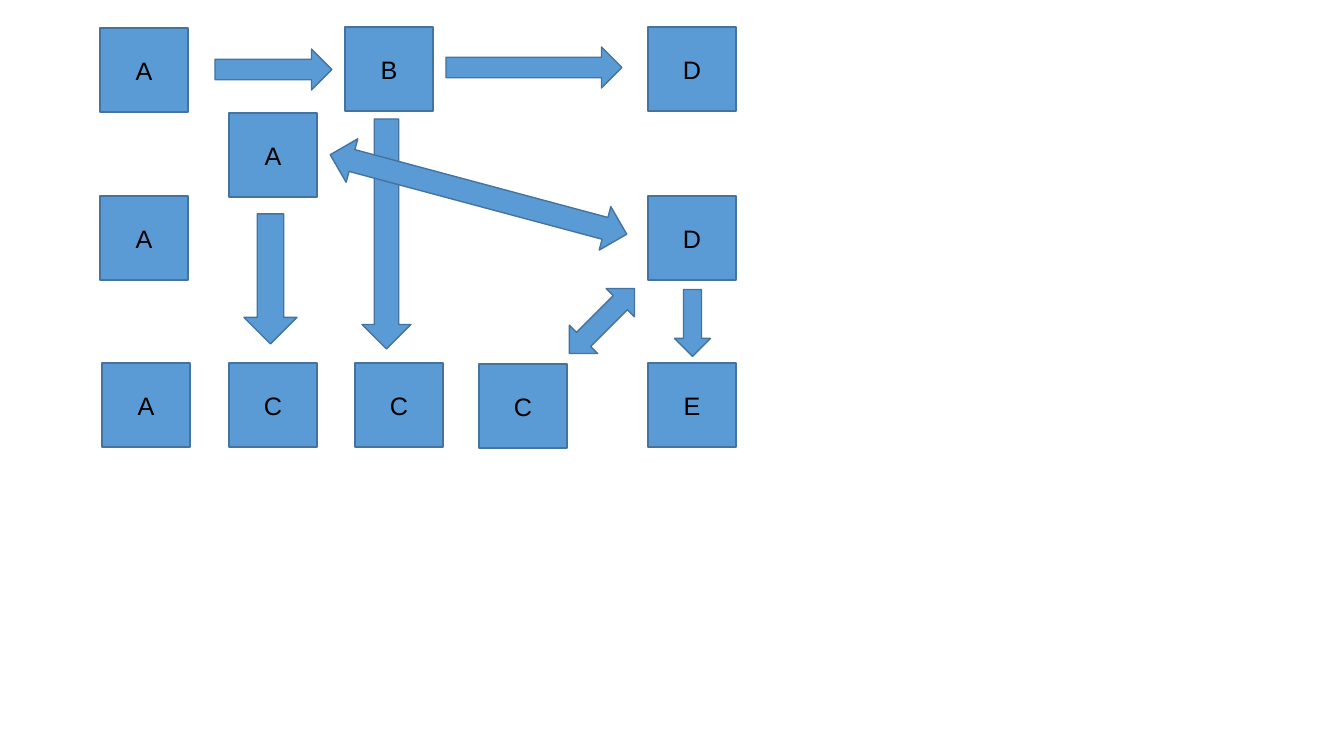
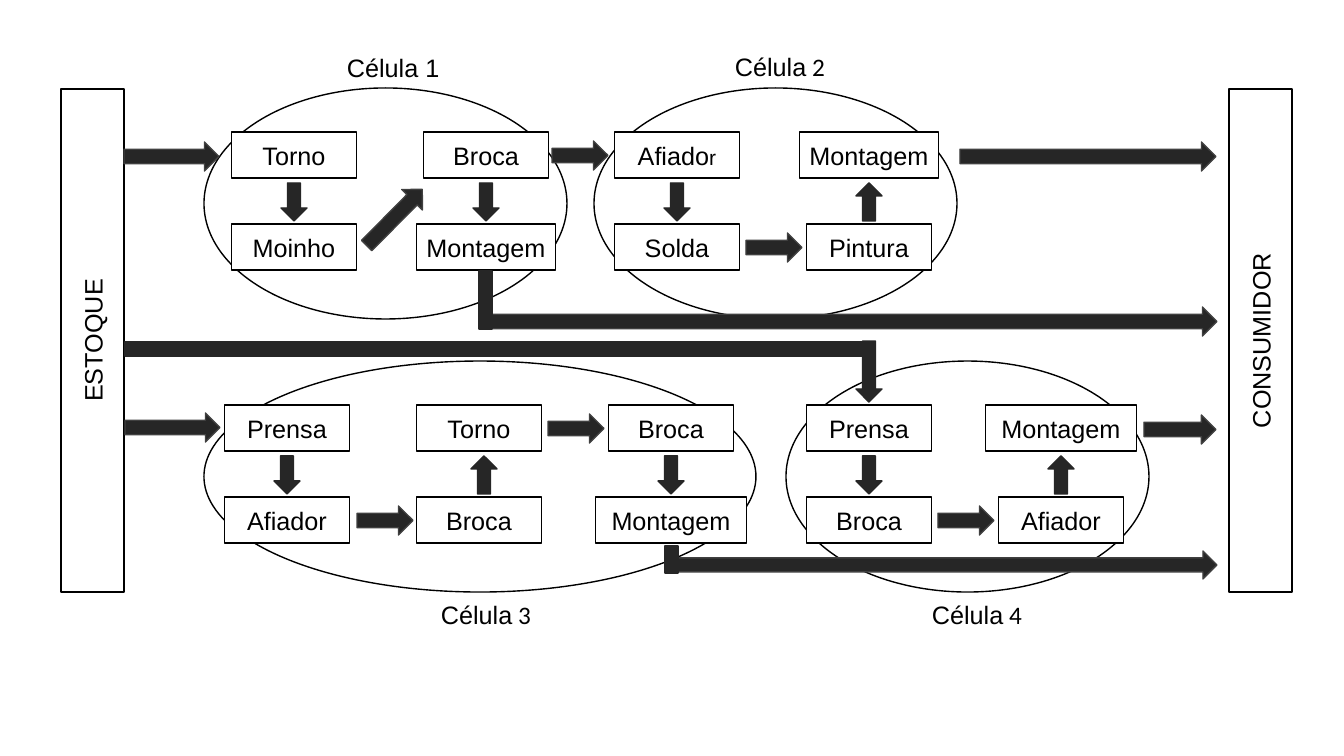
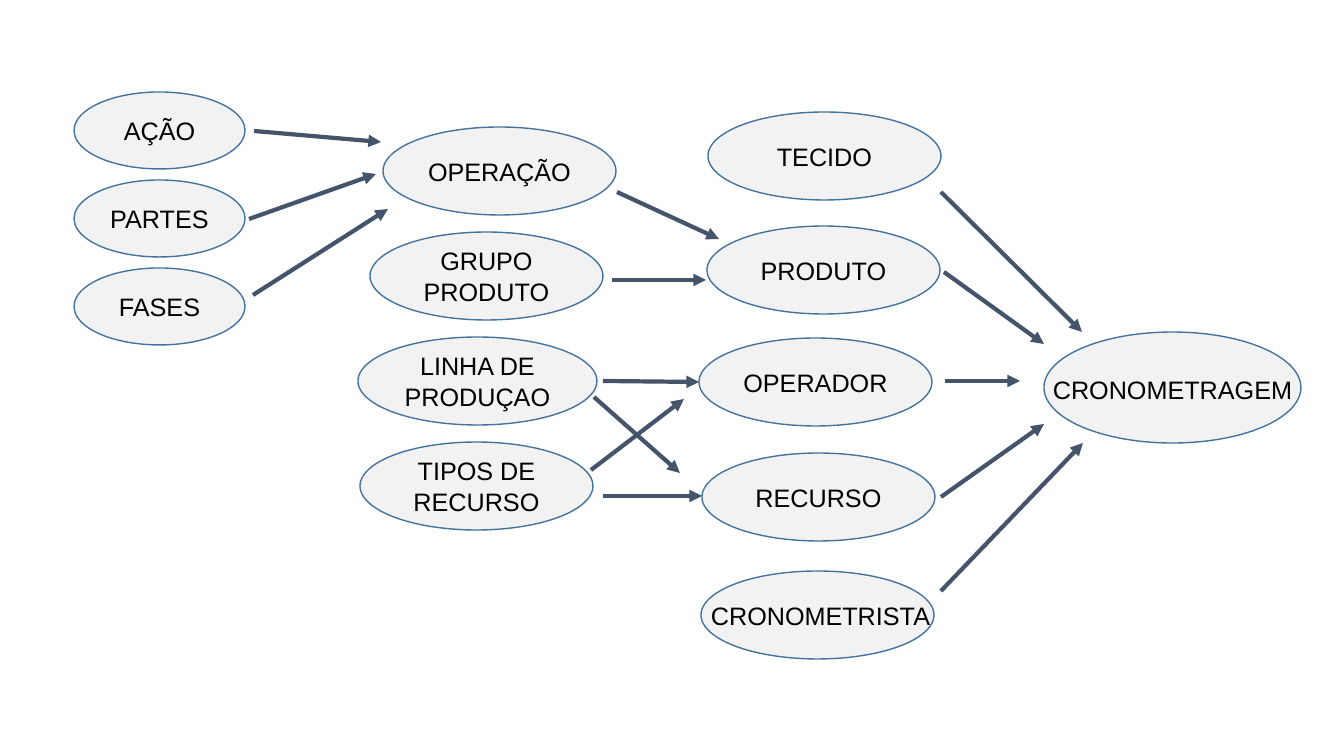
import pptx
import pptx.dml.color
import pptx.enum.shapes
import pptx.enum.text
import pptx.oxml
import pptx.oxml.ns
import pptx.util

SCALE = 12192000 / 1344
KIND = pptx.enum.shapes.MSO_SHAPE
ALIGN = pptx.enum.text.PP_ALIGN
ANCHOR = pptx.enum.text.MSO_ANCHOR
RECT, OVAL = KIND.RECTANGLE, KIND.OVAL
RIGHT, DOWN, UP = KIND.RIGHT_ARROW, KIND.DOWN_ARROW, KIND.UP_ARROW
BOTH = KIND.LEFT_RIGHT_ARROW

BLACK, WHITE = "000000", "FFFFFF"
BLUE, EDGE = "5B9BD5", "43739E"
DARK, GREY = "262626", "404040"
PALE, SLATE = "F2F2F2", "44546A"


def px(*values):
    return [pptx.util.Emu(round(v * SCALE)) for v in values]


def color(value):
    return pptx.dml.color.RGBColor.from_string(value)


def write(shape, text, size=18, font="Arial", fill=BLACK, align=ALIGN.CENTER,
          anchor=ANCHOR.MIDDLE, wrap=True):
    frame = shape.text_frame
    frame.word_wrap = wrap
    frame.vertical_anchor = anchor
    para = frame.paragraphs[0]
    para.alignment = align
    parts = [(text, {})] if isinstance(text, str) else text
    for words, style in parts:
        run = para.add_run()
        run.text = words
        run.font.size = pptx.util.Pt(style.get("size", size))
        run.font.name = style.get("font", font)
        run.font.color.rgb = color(fill)


def draw(slide, kind, x, y, w, h, fill=WHITE, line=BLACK, turn=0, text=None):
    shape = slide.shapes.add_shape(kind, *px(x, y, w, h))
    shape.shadow.inherit = False
    shape.fill.solid()
    shape.fill.fore_color.rgb = color(fill)
    shape.line.color.rgb = color(line)
    shape.line.width = pptx.util.Pt(1)
    shape.rotation = turn
    if text:
        write(shape, text)


def label(slide, x, y, w, text, turn=0, align=ALIGN.LEFT, wrap=True):
    box = slide.shapes.add_textbox(*px(x, y, w, 40))
    box.rotation = turn
    write(box, text, align=align, anchor=ANCHOR.TOP, wrap=wrap)


def link(slide, x1, y1, x2, y2):
    straight = pptx.enum.shapes.MSO_CONNECTOR.STRAIGHT
    line = slide.shapes.add_connector(straight, *px(x1, y1, x2, y2))
    line.line.color.rgb = color(SLATE)
    line.line.width = pptx.util.Pt(3)
    tail = pptx.oxml.ns.qn("a:tailEnd")
    line.line._get_or_add_ln().makeelement(tail)
    head = pptx.oxml.parse_xml(
        '<a:tailEnd xmlns:a="http://schemas.openxmlformats.org/drawingml/2006/main"'
        ' type="triangle"/>')
    line.line._get_or_add_ln().append(head)
    props = line._element.spPr
    props.append(props.makeelement(pptx.oxml.ns.qn("a:effectLst")))


def routes(slide, left, top, tiles, arrows):
    for name, x, y in tiles:
        draw(slide, RECT, left + x, top + y, 88, 84, BLUE, EDGE, text=name)
    for kind, x, y, w, h, turn in arrows:
        draw(slide, kind, left + x, top + y, w, h, BLUE, EDGE, turn)


def wall(slide, x, y, w, h, text):
    draw(slide, RECT, x, y, w, h)
    label(slide, x + (w - h) / 2, y + h / 2 - 20, h, text, 270, ALIGN.CENTER)


def cell(slide, x, y, w, title, place, steps, falls, moves, first=83):
    draw(slide, OVAL, x, y, w, 231)
    label(slide, x + place[0], y + place[1], place[2], title, wrap=False)
    rows = 44, 136
    for text, col, row, wide in steps:
        mid = x + first + 192 * col
        draw(slide, RECT, mid - wide / 2, y + rows[row], wide, 46, text=text)
    for kind, mid in falls:
        draw(slide, kind, x + mid - 13, y + 95, 26, 38, DARK, DARK)
    for start, row in moves:
        draw(slide, RIGHT, x + start, y + rows[row] + 9, 56, 29, DARK, GREY)


def stage(slide, x, y, w, h, nodes):
    for name, dx, dy, extra in nodes:
        draw(slide, OVAL, x + dx, y + dy, w + extra, h, PALE, EDGE, text=name)


def number(n):
    return [("Célula", {}), (f" {n}", {"font": "Calibri"})]


deck = pptx.Presentation()
deck.slide_width, deck.slide_height = px(1344, 756)
first, second, third = [deck.slides.add_slide(deck.slide_layouts[6]) for _ in range(3)]

routes(first, 100, 27,
       [("A", 0, 1), ("A", 0, 169), ("A", 2, 336), ("A", 129, 86),
        ("C", 129, 336), ("B", 245, 0), ("C", 255, 336), ("D", 548, 0),
        ("D", 548, 169), ("E", 548, 336), ("C", 379, 337)],
       [(DOWN, 144, 187, 53, 130, 0), (RIGHT, 115, 22, 117, 41, 0),
        (DOWN, 262, 92, 49, 230, 0), (RIGHT, 346, 20, 176, 41, 0),
        (BOTH, 225, 145, 307, 45, 15), (BOTH, 456, 274, 92, 40, 315),
        (RIGHT, 559, 278, 67, 36, 90)])

wall(second, 61, 89, 63, 503, "ESTOQUE")
wall(second, 1229, 89, 63, 503, "CONSUMIDOR")
cell(second, 204, 88, 363, "Célula 1", (133, -41, 114),
     [("Torno", 0, 0, 125), ("Moinho", 0, 1, 125),
      ("Broca", 1, 0, 125), ("Montagem", 1, 1, 139)],
     [(DOWN, 90), (DOWN, 282)], [(348, 0)], first=90)
cell(second, 594, 88, 363, number(2), (131, -42, 111),
     [([("Afiado", {}), ("r", {"size": 15})], 0, 0, 125), ("Solda", 0, 1, 125),
      ("Pintura", 1, 1, 125), ("Montagem", 1, 0, 139)],
     [(DOWN, 83), (UP, 275)], [(152, 1)])
cell(second, 204, 361, 552, number(3), (227, 233, 111),
     [("Prensa", 0, 0, 125), ("Afiador", 0, 1, 125), ("Torno", 1, 0, 125),
      ("Broca", 1, 1, 125), ("Broca", 2, 0, 125), ("Montagem", 2, 1, 151)],
     [(DOWN, 83), (UP, 280), (DOWN, 467)], [(344, 0), (153, 1)])
cell(second, 786, 361, 363, number(4), (136, 233, 111),
     [("Prensa", 0, 0, 125), ("Broca", 0, 1, 125),
      ("Montagem", 1, 0, 151), ("Afiador", 1, 1, 125)],
     [(DOWN, 83), (UP, 275)], [(152, 1)])
for kind, x, y, w, h, line, turn in [
        (RIGHT, 960, 142, 256, 29, GREY, 0), (RIGHT, 124, 142, 95, 29, GREY, 0),
        (RIGHT, 125, 413, 95, 29, GREY, 0), (RIGHT, 1144, 415, 72, 29, GREY, 0),
        (RIGHT, 355, 203, 79, 29, GREY, 314.7),
        (RIGHT, 488, 307, 729, 29, GREY, 0), (RECT, 479, 271, 13, 58, DARK, 0),
        (RIGHT, 665, 551, 552, 28, GREY, 0), (RECT, 665, 546, 13, 27, DARK, 0),
        (RECT, 125, 342, 744, 14, DARK, 0), (DOWN, 856, 341, 26, 61, DARK, 0)]:
    draw(second, kind, x, y, w, h, DARK, line, turn)

stage(third, 74, 92, 171, 77,
      [(name, 0, 88 * i, 0) for i, name in enumerate(["AÇÃO", "PARTES", "FASES"])])
stage(third, 358, 127, 233, 88,
      [("OPERAÇÃO", 25, 0, 0), ("GRUPO PRODUTO", 12, 105, 0),
       ("LINHA DE PRODUÇAO", 0, 210, 6), ("TIPOS DE RECURSO", 2, 315, 0)])
stage(third, 699, 112, 233, 88,
      [("TECIDO", 9, 0, 0), ("PRODUTO", 8, 114, 0), ("OPERADOR", 0, 226, 0),
       ("RECURSO", 3, 341, 0), (None, 2, 459, 0)])
stage(third, 1044, 332, 257, 111, [(None, 0, 0, 0)])
for ends in [(254, 131, 381, 142), (249, 219, 376, 174), (253, 295, 388, 209),
             (603, 381, 699, 382), (945, 381, 1020, 381), (603, 496, 702, 496),
             (612, 280, 706, 280), (617, 192, 719, 239), (594, 397, 680, 473),
             (591, 470, 684, 399), (944, 272, 1044, 344), (941, 192, 1082, 332),
             (941, 497, 1044, 424), (941, 591, 1083, 443)]:
    link(third, *ends)
label(third, 1043, 369, 265, "CRONOMETRAGEM")
label(third, 701, 595, 251, "CRONOMETRISTA")

deck.save("out.pptx")
